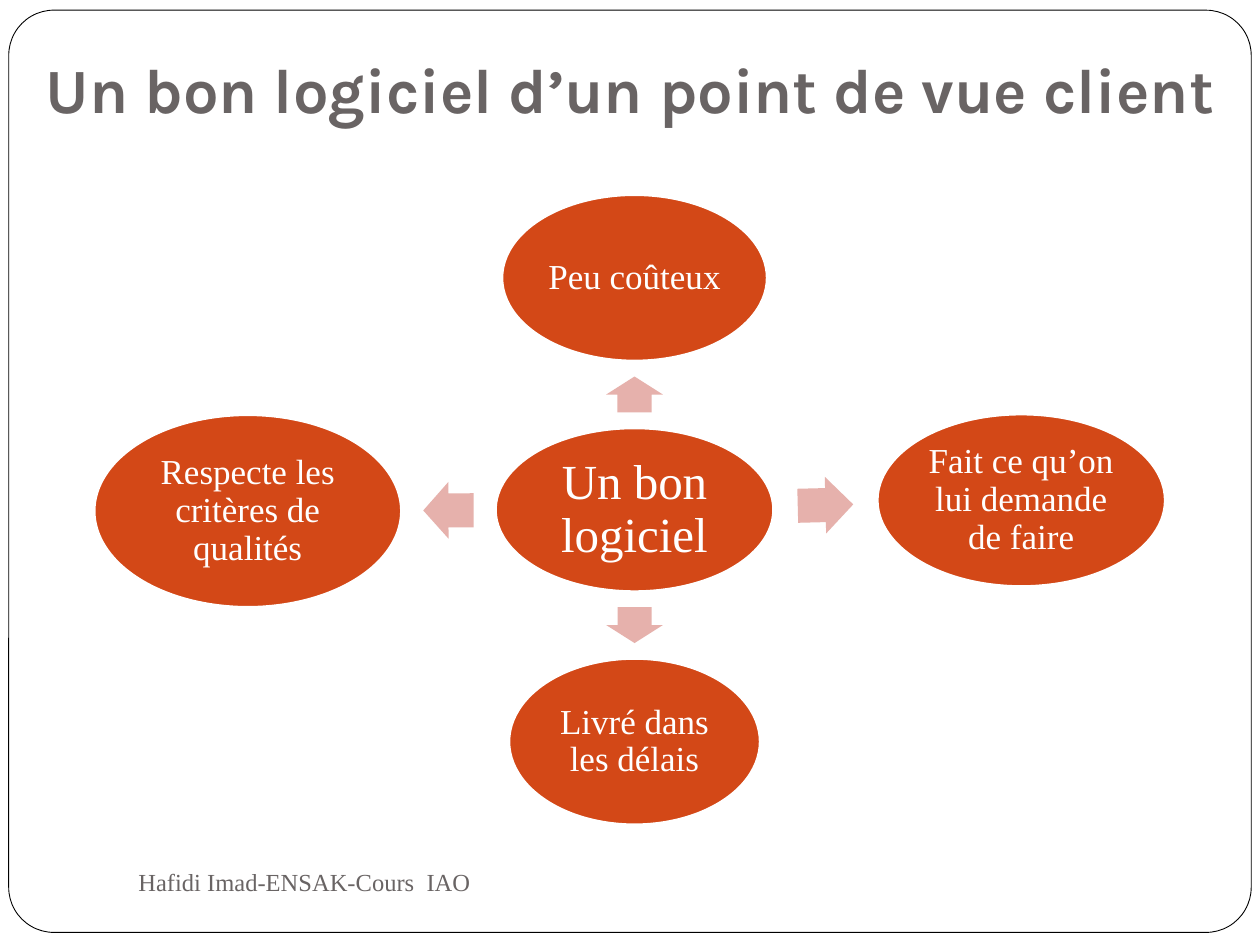
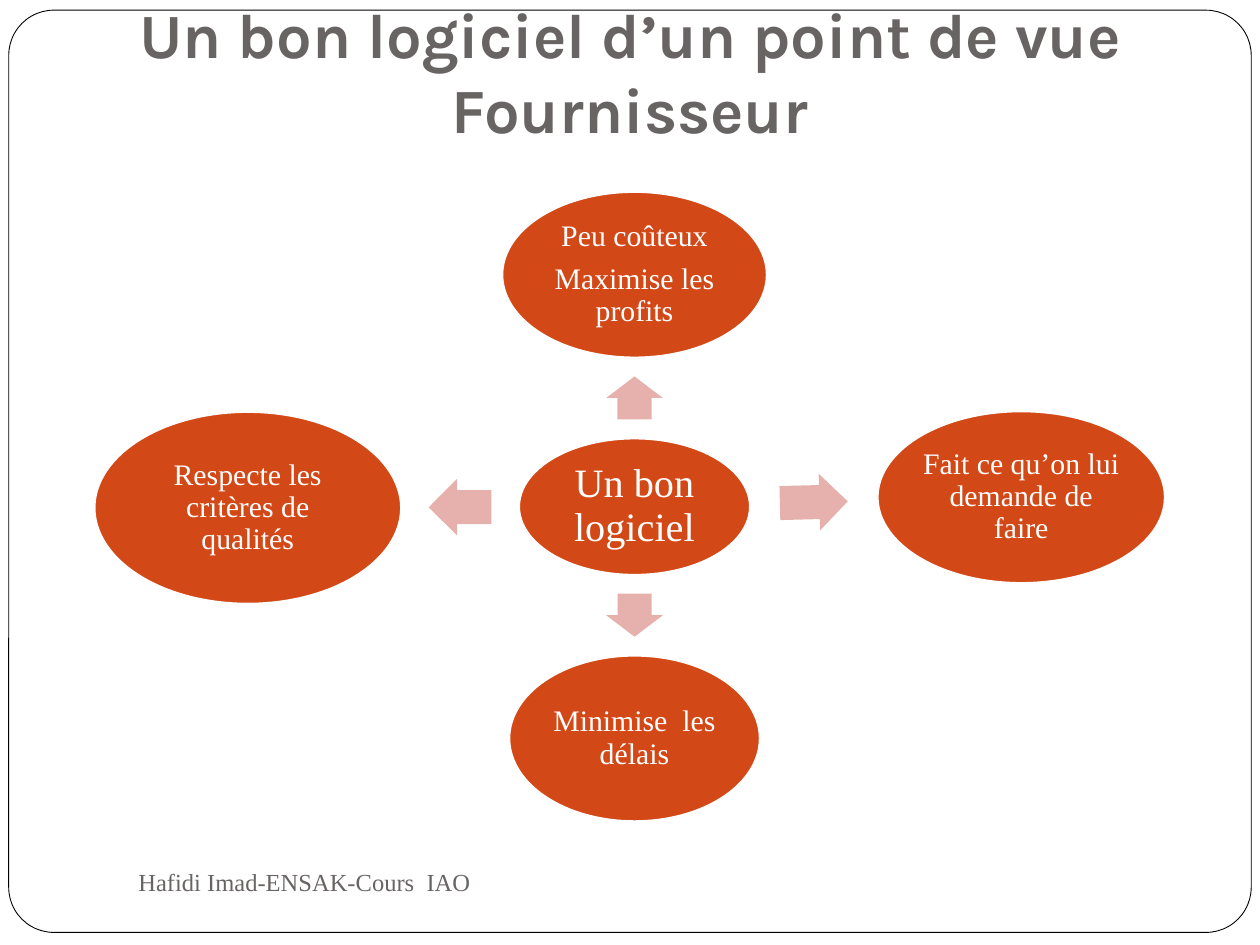
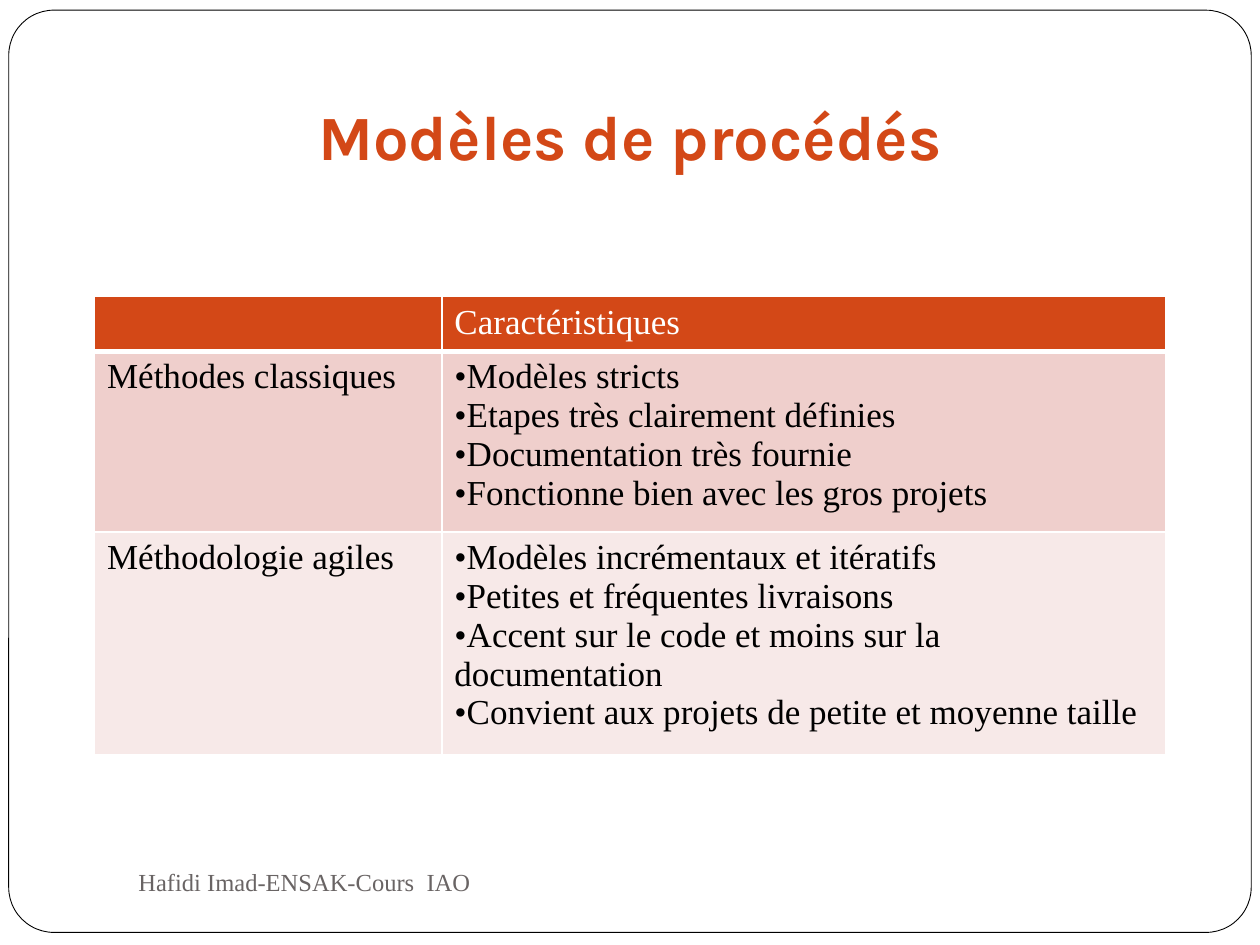
from math import atan2, cos, degrees, hypot, sin

from lxml import etree
from pptx import Presentation
from pptx.dml.color import RGBColor
from pptx.enum.shapes import MSO_SHAPE as Shape
from pptx.enum.text import MSO_ANCHOR as Anchor, MSO_AUTO_SIZE as AutoSize, PP_ALIGN as Align
from pptx.oxml.ns import qn
from pptx.util import Pt

WHITE = RGBColor(0xFF, 0xFF, 0xFF)
BLACK = RGBColor(0x00, 0x00, 0x00)
GREY = RGBColor(0x69, 0x64, 0x64)
ORANGE = RGBColor(0xD3, 0x48, 0x17)
PINK = RGBColor(0xE6, 0xB1, 0xAC)
ROSE = RGBColor(0xEF, 0xCF, 0xCC)
PALE_ROSE = RGBColor(0xF7, 0xE9, 0xE8)
TITLE_FONT, BODY_FONT = "Karla", "Times New Roman"


def write(frame, lines, size, colour, font=BODY_FONT, bold=False, align=Align.LEFT,
          spacing=1.0, gap=0):
    for i, line in enumerate(lines):
        paragraph = frame.add_paragraph() if i else frame.paragraphs[0]
        paragraph.alignment = align
        paragraph.line_spacing = spacing
        paragraph.space_before = Pt(gap if i else 0)
        run = paragraph.add_run()
        run.text = line
        run.font.size, run.font.name, run.font.bold = Pt(size), font, bold
        run.font.color.rgb = colour


def add_centred(slide, kind, x, y, width, height, colour):
    shape = slide.shapes.add_shape(kind, Pt(x - width / 2), Pt(y - height / 2),
                                   Pt(width), Pt(height))
    shape.shadow.inherit = False
    shape.fill.solid()
    shape.fill.fore_color.rgb = colour
    shape.line.fill.background()
    return shape


deck = Presentation()
deck.slide_width, deck.slide_height = Pt(720), Pt(540)

# Frame, title and footer of every slide: title, top, height, colour
headings = [
    ("Un bon logiciel d’un point de vue client", 18, 61, GREY),
    ("Un bon logiciel d’un point de vue Fournisseur", 1, 90, GREY),
    ("Modèles de procédés", 16, 90, ORANGE),
]
for heading, top, height, colour in headings:
    slide = deck.slides.add_slide(deck.slide_layouts[5])

    border = add_centred(slide, Shape.ROUNDED_RECTANGLE, 360, 269.3, 710, 527, WHITE)
    border.adjustments[0] = 0.049
    border.line.color.rgb = BLACK
    border.line.width = Pt(0.5)
    slide.shapes._spTree.insert(2, border._element)

    title = slide.shapes.title
    title.left, title.top, title.width, title.height = Pt(0), Pt(top), Pt(720), Pt(height)
    frame = title.text_frame
    frame.auto_size = AutoSize.NONE
    frame.word_wrap = True
    frame.vertical_anchor = Anchor.BOTTOM
    frame.margin_bottom = Pt(7.2)
    write(frame, [heading], 36, colour, TITLE_FONT, True, Align.CENTER)

    footer = slide.shapes.add_textbox(Pt(72), Pt(486), Pt(312), Pt(36)).text_frame
    footer.word_wrap = True
    footer.vertical_anchor = Anchor.MIDDLE
    write(footer, ["Hafidi Imad-ENSAK-Cours  IAO"], 14, GREY)

# Radial diagrams: qualities around a hub, placed by offset from the hub and size
HUB_X = 362.6
hub_lines = ["Un bon logiciel"]
quality_places = [
    (0, -132.5, 151, 94.5),
    (221, -5.4, 164, 98),
    (0, 132.5, 143, 94.5),
    (-221, 0.7, 175, 109.5),
]
useful = ["Fait ce qu’on lui demande de faire"]
sound = ["Respecte les critères de qualités"]
# Hub centre, hub width and height, hub and quality text sizes, inset, qualities
diagrams = [
    (291.3, 158.4, 93, 28, 20, 2.2,
     [["Peu coûteux"], useful, ["Livré dans les délais"], sound]),
    (289.5, 131.8, 77.8, 23, 17, 1.6,
     [["Peu coûteux", "Maximise les profits"], useful, ["Minimise  les délais"], sound]),
]
for slide, diagram in zip(deck.slides, diagrams):
    hub_y, hub_width, hub_height, hub_size, quality_size, inset, qualities = diagram
    bubbles = [(0, 0, hub_width, hub_height, hub_lines, hub_size)]
    bubbles += [(*place, lines, quality_size) for place, lines in zip(quality_places, qualities)]

    for dx, dy, width, height, lines, size in bubbles:
        bubble = add_centred(slide, Shape.OVAL, HUB_X + dx, hub_y + dy, width, height, ORANGE)
        bubble.line.color.rgb = WHITE
        bubble.line.width = Pt(1)
        frame = bubble.text_frame
        frame.word_wrap = True
        frame.vertical_anchor = Anchor.MIDDLE
        frame.margin_left = frame.margin_right = Pt(inset)
        frame.margin_top = frame.margin_bottom = Pt(inset)
        write(frame, lines, size, WHITE, align=Align.CENTER, spacing=0.9, gap=6)

    # Arrows fill about half of the gap between the hub and each quality
    for dx, dy, width, height in quality_places:
        hub_radius, radius = (hub_width / 2, width / 2) if dx else (hub_height / 2, height / 2)
        gap = hypot(dx, dy) - hub_radius - radius
        angle = atan2(dy, dx)
        reach = hub_radius + gap / 2
        arrow = add_centred(slide, Shape.RIGHT_ARROW, HUB_X + reach * cos(angle),
                            hub_y + reach * sin(angle), gap * 0.53, 32.4, PINK)
        arrow.adjustments[0], arrow.adjustments[1] = 0.6, 0.5
        arrow.rotation = degrees(angle) % 360

# Table of process models
rows = [
    (31, ORANGE, WHITE, [[], ["Caractéristiques"]]),
    (103, ROSE, BLACK, [["Méthodes classiques"], [
        "•Modèles stricts",
        "•Etapes très clairement définies",
        "•Documentation très fournie",
        "•Fonctionne bien avec les gros projets",
    ]]),
    (103, PALE_ROSE, BLACK, [["Méthodologie agiles"], [
        "•Modèles incrémentaux et itératifs",
        "•Petites et fréquentes livraisons",
        "•Accent sur le code et moins sur la documentation",
        "•Convient aux projets de petite et moyenne taille",
    ]]),
]
models = deck.slides[2].shapes.add_table(3, 2, Pt(54), Pt(169.5), Pt(612), Pt(237)).table
models.columns[0].width, models.columns[1].width = Pt(198.5), Pt(413.5)
for r, (height, fill, colour, texts) in enumerate(rows):
    models.rows[r].height = Pt(height)
    for c, lines in enumerate(texts):
        cell = models.cell(r, c)
        properties = cell._tc.get_or_add_tcPr()
        for side in ("lnL", "lnR", "lnT", "lnB"):
            weight = 3 if r == 0 and side == "lnB" else 1
            edge = etree.SubElement(properties, qn("a:" + side), w=str(Pt(weight)))
            ink = etree.SubElement(edge, qn("a:solidFill"))
            etree.SubElement(ink, qn("a:srgbClr"), val=str(WHITE))
        cell.fill.solid()
        cell.fill.fore_color.rgb = fill
        write(cell.text_frame, lines, 20, colour)

deck.save("out.pptx")
